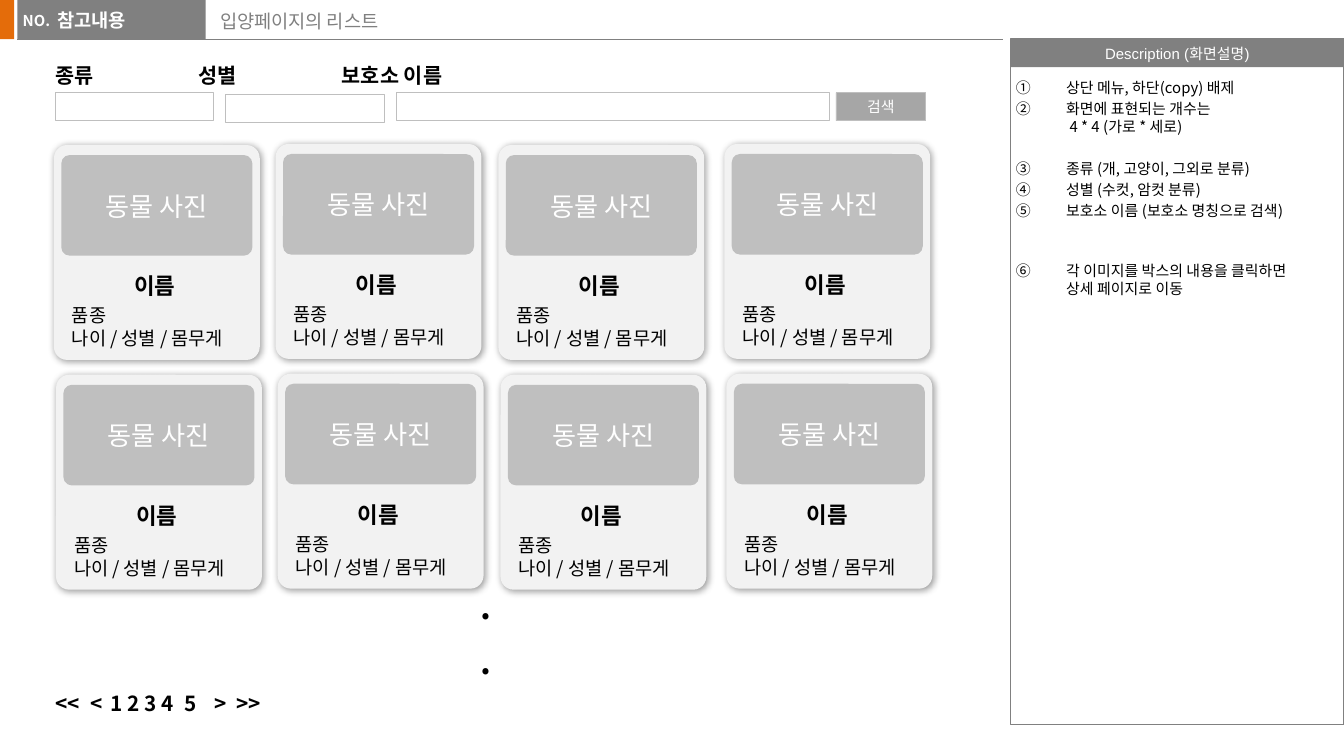
from lxml import etree
from pptx import Presentation
from pptx.dml.color import RGBColor
from pptx.enum.shapes import MSO_CONNECTOR, MSO_SHAPE
from pptx.enum.text import MSO_ANCHOR, PP_ALIGN
from pptx.oxml.ns import qn
from pptx.util import Cm, Pt

RECT, ROUND = MSO_SHAPE.RECTANGLE, MSO_SHAPE.ROUNDED_RECTANGLE
STRAIGHT = MSO_CONNECTOR.STRAIGHT
LEFT, CENTER = PP_ALIGN.LEFT, PP_ALIGN.CENTER
TOP, MIDDLE = MSO_ANCHOR.TOP, MSO_ANCHOR.MIDDLE

COLORS = {"accent": "E46C0A", "gray": "808080", "button": "A6A6A6", "border": "BFBFBF",
          "card": "F2F2F2", "white": "FFFFFF", "black": "000000"}
NOTO, ARIAL = "Noto Sans CJK KR", "Arial"

TITLE = "입양페이지의 리스트"
NOTES = [
    ("상단 메뉴, 하단(copy) 배제", 0),
    ("화면에 표현되는 개수는\v 4 * 4 (가로 * 세로)", 1.6),
    ("종류 (개, 고양이, 그외로 분류)", 13),
    ("성별 (수컷, 암컷 분류)", 1.6),
    ("보호소 이름 (보호소 명칭으로 검색)", 1.6),
    ("각 이미지를 박스의 내용을 클릭하면\v상세 페이지로 이동", 22.8),
]
TABBED_LINES = [
    (1.12, ["종류", "성별", "보호소 이름"], [2.7, 5.41]),
    (12.98, ["<<", "<", "1 2 3 4", "5", ">", ">>"], [0.66, 1.04, 2.44, 3, 3.42]),
]
SEARCH_FIELDS = [(1.04, 1.75, 3), (4.27, 1.78, 3), (7.49, 1.75, 8.18)]
CARD_COLUMNS = [(1.02, 2.74), (5.21, 2.72), (9.42, 2.74), (13.69, 2.72)]
CARD_ROWS, ROW_SHIFT, ROW_PITCH = 2, 0.04, 4.34
PHOTO, NAME = "동물 사진", "이름"
INFO = ["품종", "나이 / 성별 / 몸무게"]


def rgb(name):
    return RGBColor.from_string(COLORS[name])


def write(sp, lines, size, color="black", font=NOTO, bold=False, align=LEFT,
          anchor=TOP, spacing=1.22, before=0, inset=(0.25, 0.13, 0.25, 0.13), wrap=True):
    tf = sp.text_frame
    tf.word_wrap = wrap
    tf.vertical_anchor = anchor
    tf.margin_left, tf.margin_top, tf.margin_right, tf.margin_bottom = map(Cm, inset)
    for i, line in enumerate(lines):
        p = tf.paragraphs[0] if i == 0 else tf.add_paragraph()
        p.text = line
        p.alignment = align
        p.line_spacing = Pt(size * spacing)
        p.space_before = Pt(before if i else 0)
        for r in p.runs:
            r.font.size = Pt(size)
            r.font.bold = bold
            r.font.name = font
            r.font.color.rgb = rgb(color)
            ea = etree.SubElement(r.font._element, qn("a:ea"))
            ea.set("typeface", NOTO)
    return tf


def add_box(shapes, x, y, w, h, fill=None, line=None, width=0.5, kind=RECT):
    sp = shapes.add_shape(kind, Cm(x), Cm(y), Cm(w), Cm(h))
    sp.shadow.inherit = False
    if fill:
        sp.fill.solid()
        sp.fill.fore_color.rgb = rgb(fill)
    else:
        sp.fill.background()
    if line:
        sp.line.color.rgb = rgb(line)
        sp.line.width = Pt(width)
    else:
        sp.line.fill.background()
    return sp


def add_text(shapes, x, y, w, h, lines, size, **style):
    sp = shapes.add_textbox(Cm(x), Cm(y), Cm(w), Cm(h))
    return write(sp, lines, size, **style)


def add_shadow(sp):
    effects = sp._element.spPr.find(qn("a:effectLst"))
    shadow = etree.SubElement(effects, qn("a:outerShdw"), blurRad=str(Pt(4)), dist=str(Pt(1)),
                              dir="2700000", algn="tl", rotWithShape="0")
    color = etree.SubElement(shadow, qn("a:srgbClr"), val=COLORS["black"])
    etree.SubElement(color, qn("a:alpha"), val="40000")


def add_card(slide, x, y):
    shapes = slide.shapes.add_group_shape().shapes
    card = add_box(shapes, x, y, 3.89, 4.06, "card", kind=ROUND)
    card.adjustments[0] = 0.064
    add_shadow(card)
    photo = add_box(shapes, x + 0.14, y + 0.19, 3.61, 1.9, "border", kind=ROUND)
    photo.adjustments[0] = 0.083
    write(photo, [PHOTO], 14, color="white", align=CENTER, anchor=MIDDLE)
    add_text(shapes, x + 0.09, y + 2.26, 3.63, 0.76, [NAME], 12, bold=True, align=CENTER)
    add_text(shapes, x + 0.09, y + 2.87, 3.89, 1.55, INFO, 10)


def add_header(slide):
    shapes = slide.shapes
    add_box(shapes, -0.03, 0, 0.3, 0.74, "accent")
    rule = shapes.add_connector(STRAIGHT, Cm(0.33), Cm(0.74), Cm(18.95), Cm(0.74))
    rule.line.color.rgb = rgb("gray")
    rule.line.width = Pt(0.5)
    etree.SubElement(rule._element.spPr, qn("a:effectLst"))
    add_box(shapes, 0.33, 0, 3.56, 0.74, "gray")
    add_text(shapes, 0.18, 0.08, 1.04, 0.61, ["NO."], 8, color="white", bold=True, wrap=False)
    add_text(shapes, 1.09, 0.03, 2.21, 0.79, ["참고내용"], 10, color="white", font=ARIAL,
             bold=True, inset=(0, 0.13, 0, 0.13))
    title = shapes.title
    title.left, title.top, title.width, title.height = Cm(3.91), Cm(0.05), Cm(15.01), Cm(0.81)
    write(title, [TITLE], 10, color="gray")


def add_description(slide):
    shapes = slide.shapes
    heading = add_box(shapes, 19.1, 0.74, 6.3, 0.53, "gray")
    write(heading, ["Description (화면설명)"], 8, color="white", font=ARIAL,
          align=CENTER, anchor=MIDDLE, wrap=False)
    add_box(shapes, 19.1, 0.74, 6.3, 12.95, line="gray", width=0.75)
    tf = add_text(shapes, 19.1, 1.35, 6.3, 12.4, [text for text, gap in NOTES], 8,
                  spacing=1.2, inset=(0.1, 0.13, 0, 0.13))
    for p, (text, gap) in zip(tf.paragraphs, NOTES):
        p.space_before = Pt(gap)
        pPr = p._p.get_or_add_pPr()
        pPr.set("marL", str(Cm(0.95)))
        pPr.set("indent", str(-Cm(0.95)))
        etree.SubElement(pPr, qn("a:buAutoNum"), type="circleNumDbPlain")


def add_tabbed_line(slide, y, words, stops):
    tf = add_text(slide.shapes, 0.71, y, 14.5, 0.64, ["\t".join(words)], 11.1, bold=True,
                  spacing=1.06, inset=(0.34, 0.13, 0.25, 0.13))
    tabs = etree.SubElement(tf.paragraphs[0]._p.get_or_add_pPr(), qn("a:tabLst"))
    for stop in stops:
        etree.SubElement(tabs, qn("a:tab"), pos=str(Cm(stop)), algn="l")


def main():
    prs = Presentation()
    prs.slide_width, prs.slide_height = Cm(25.4), Cm(14.28)
    slide = prs.slides.add_slide(prs.slide_layouts[5])
    add_header(slide)
    add_description(slide)
    for y, words, stops in TABBED_LINES:
        add_tabbed_line(slide, y, words, stops)
    for x, y, w in SEARCH_FIELDS:
        add_box(slide.shapes, x, y, w, 0.53, "white", "border")
    button = add_box(slide.shapes, 15.8, 1.75, 1.7, 0.53, "button", "border")
    write(button, ["검색"], 8, color="white", align=CENTER, anchor=MIDDLE)
    for row in range(CARD_ROWS):
        for x, y in CARD_COLUMNS:
            add_card(slide, x + row * ROW_SHIFT, y + row * ROW_PITCH)
    add_text(slide.shapes, 1.93, 10.97, 14.5, 1.55, [".", "."], 18, bold=True,
             align=CENTER, spacing=1.14, before=9)
    prs.save("out.pptx")


if __name__ == "__main__":
    main()
